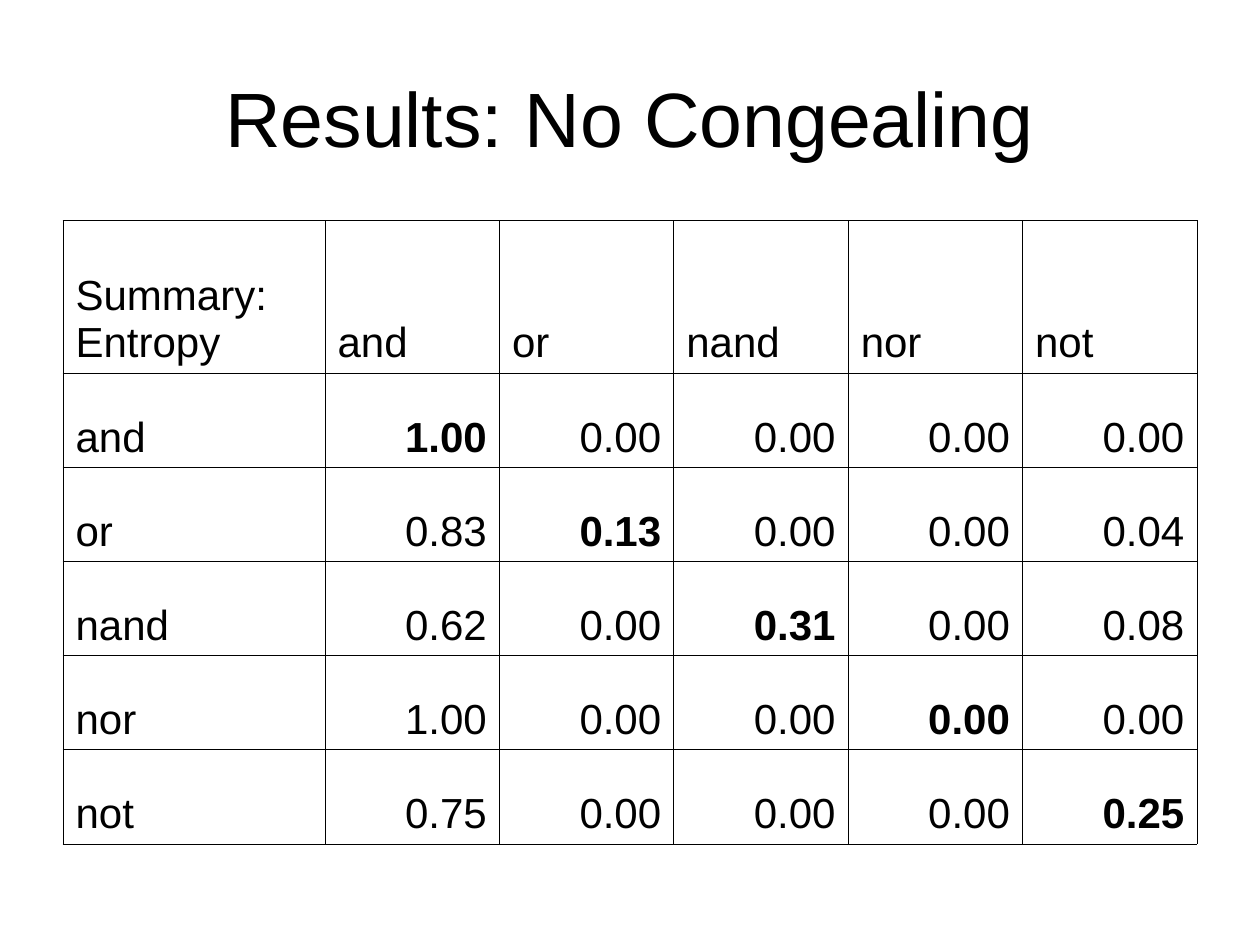
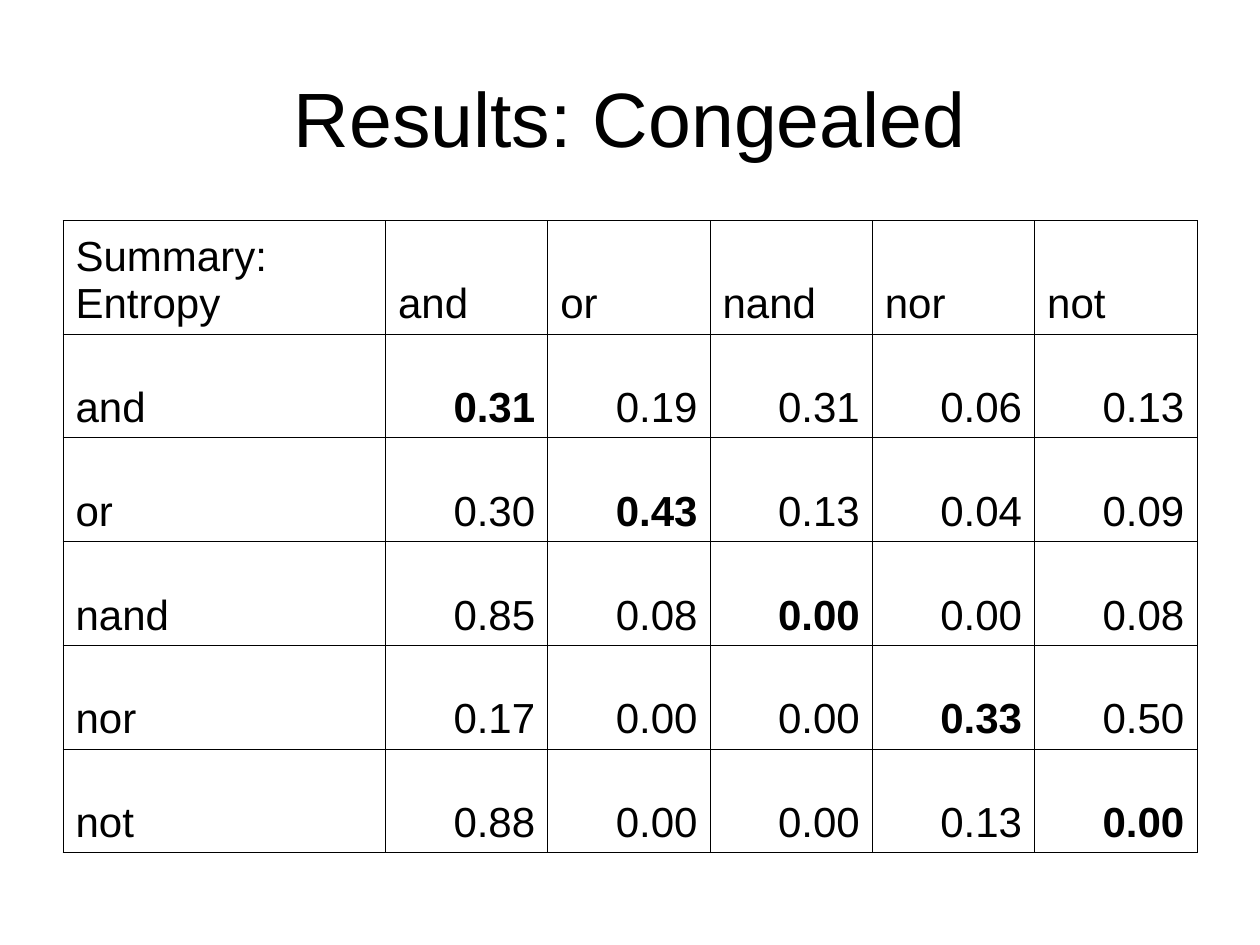
from lxml.etree import SubElement
from pptx import Presentation
from pptx.dml.color import RGBColor
from pptx.enum.text import MSO_ANCHOR, PP_ALIGN
from pptx.oxml import parse_xml
from pptx.oxml.ns import nsdecls
from pptx.util import Inches, Pt

CORNER = "Summary: Entropy"
GATES = ["and", "or", "nand", "nor", "not"]

# Column and row sizes are in inches; the other columns and rows share the rest.
RESULTS = [
    {
        "title": "Results: No Congealing",
        "label_width": 2.08, "header_height": 1.21, "table_height": 4.95,
        "entropy": [
            (1.00, 0.00, 0.00, 0.00, 0.00),
            (0.83, 0.13, 0.00, 0.00, 0.04),
            (0.62, 0.00, 0.31, 0.00, 0.08),
            (1.00, 0.00, 0.00, 0.00, 0.00),
            (0.75, 0.00, 0.00, 0.00, 0.25),
        ],
    },
    {
        "title": "Results: Congealed",
        "label_width": 2.56, "header_height": 0.90, "table_height": 5.02,
        "entropy": [
            (0.31, 0.19, 0.31, 0.06, 0.13),
            (0.30, 0.43, 0.13, 0.04, 0.09),
            (0.85, 0.08, 0.00, 0.00, 0.08),
            (0.17, 0.00, 0.00, 0.33, 0.50),
            (0.88, 0.00, 0.00, 0.13, 0.00),
        ],
    },
]

BLACK = RGBColor(0x00, 0x00, 0x00)
FONT = "Arial"
TITLE_SIZE, CELL_SIZE, BORDER_WIDTH = Pt(44), Pt(24), Pt(0.45)
SLIDE_WIDTH, SLIDE_HEIGHT = 10, 7.5
MARGIN = 0.5
CONTENT_WIDTH = SLIDE_WIDTH - 2 * MARGIN
TITLE_TOP, TITLE_HEIGHT = 0.3, 1.25
TABLE_TOP = 1.75


def format_text(paragraph, size, alignment, bold=False):
    paragraph.alignment = alignment
    for run in paragraph.runs:
        run.font.name = FONT
        run.font.size = size
        run.font.bold = bold
        run.font.color.rgb = BLACK


def add_title(slide, text):
    title = slide.shapes.title
    title.left, title.top = Inches(MARGIN), Inches(TITLE_TOP)
    title.width, title.height = Inches(CONTENT_WIDTH), Inches(TITLE_HEIGHT)
    title.text_frame.text = text
    title.text_frame.vertical_anchor = MSO_ANCHOR.MIDDLE
    format_text(title.text_frame.paragraphs[0], TITLE_SIZE, PP_ALIGN.CENTER)


def add_borders(cell):
    """Draw a thin line on all four sides; the lines must precede the fill."""
    properties = cell._tc.get_or_add_tcPr()
    for index, side in enumerate("LRTB"):
        properties.insert(index, parse_xml(
            f'<a:ln{side} {nsdecls("a")} w="{BORDER_WIDTH}"><a:solidFill>'
            f'<a:srgbClr val="{BLACK}"/></a:solidFill></a:ln{side}>'))


def fill_cell(cell, text, alignment, bold):
    cell.text_frame.text = text
    cell.vertical_anchor = MSO_ANCHOR.BOTTOM
    cell.margin_left = cell.margin_right = Inches(0.1)
    cell.margin_top = cell.margin_bottom = Inches(0.05)
    cell.fill.background()
    add_borders(cell)
    format_text(cell.text_frame.paragraphs[0], CELL_SIZE, alignment, bold)


def split(total, first):
    """Lengths of the first part and of the equal parts, one for each gate."""
    return [first] + [(total - first) / len(GATES)] * len(GATES)


def add_entropy_table(slide, result):
    rows = [[CORNER, *GATES]]
    for gate, values in zip(GATES, result["entropy"]):
        rows.append([gate, *(f"{value:.2f}" for value in values)])

    table = slide.shapes.add_table(
        len(rows), len(rows[0]), Inches(MARGIN), Inches(TABLE_TOP),
        Inches(CONTENT_WIDTH), Inches(result["table_height"])).table
    table.first_row = table.horz_banding = False
    for column, width in zip(table.columns, split(CONTENT_WIDTH, result["label_width"])):
        column.width = Inches(width)
    for row, height in zip(table.rows, split(result["table_height"], result["header_height"])):
        row.height = Inches(height)

    for row_index, texts in enumerate(rows):
        for column_index, text in enumerate(texts):
            is_value = row_index > 0 and column_index > 0
            fill_cell(table.cell(row_index, column_index), text,
                      PP_ALIGN.RIGHT if is_value else PP_ALIGN.LEFT,
                      bold=is_value and row_index == column_index)


def main():
    presentation = Presentation()
    presentation.slide_width = Inches(SLIDE_WIDTH)
    presentation.slide_height = Inches(SLIDE_HEIGHT)
    title_only = presentation.slide_layouts[5]
    for result in RESULTS:
        slide = presentation.slides.add_slide(title_only)
        add_title(slide, result["title"])
        add_entropy_table(slide, result)
    presentation.save("out.pptx")


if __name__ == "__main__":
    main()
